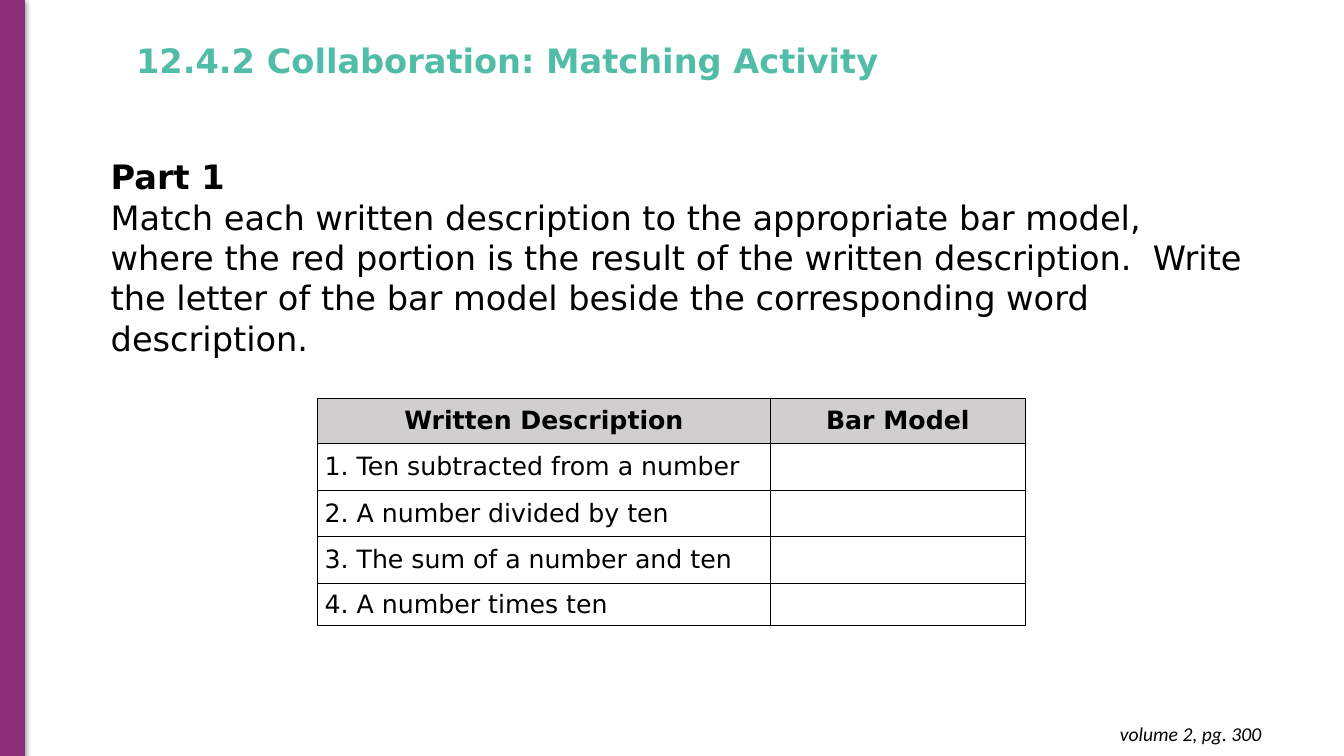
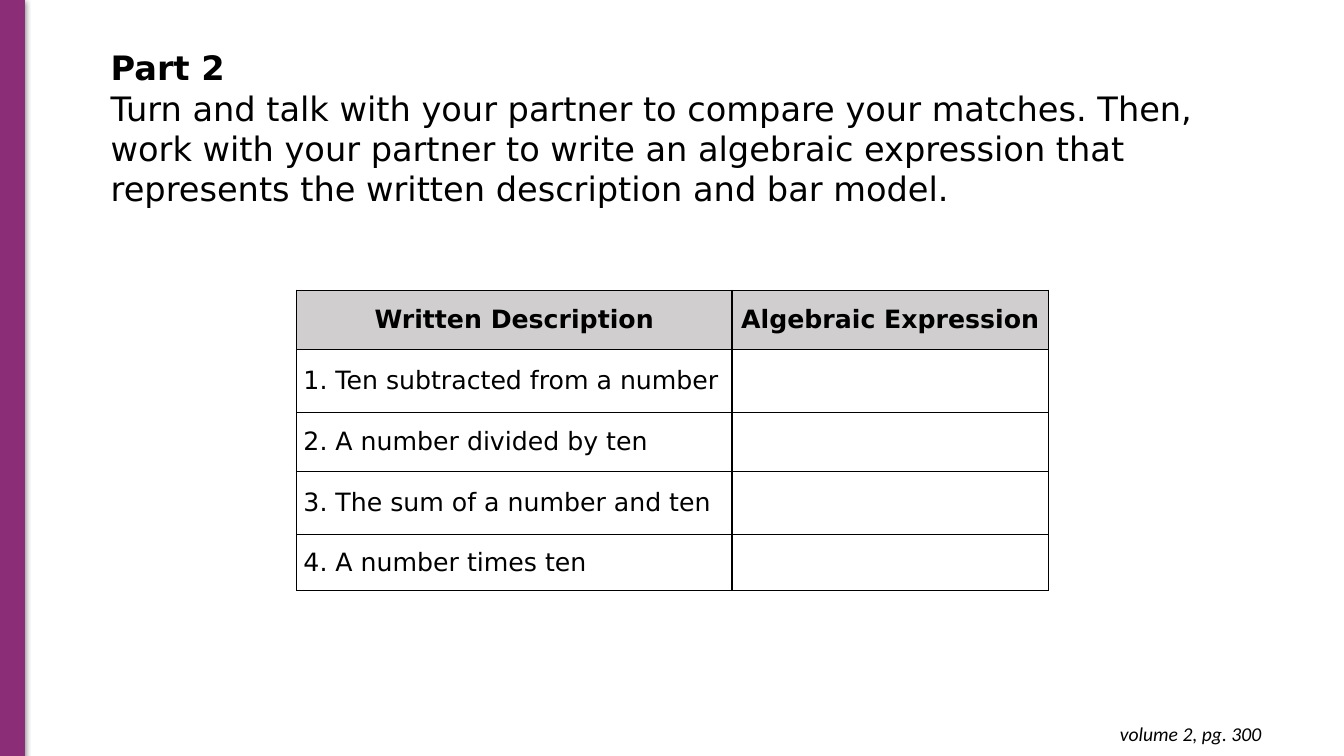
from pptx import Presentation
from pptx.dml.color import RGBColor
from pptx.enum.shapes import MSO_SHAPE as Shape
from pptx.enum.text import MSO_ANCHOR as Anchor, MSO_AUTO_SIZE as AutoSize, PP_ALIGN as Align
from pptx.oxml import parse_xml
from pptx.oxml.ns import nsdecls
from pptx.util import Inches, Pt

COLORS = {
    "band": "8B2D77",
    "title": "52BDA6",
    "text": "000000",
    "border": "000000",
    "header": "D0CECE",
}
FONT = "DejaVu Sans"
FOOTER_FONT = "Calibri"
TITLE_ONLY, BLANK = 5, 6

DESCRIPTIONS = [
    "1. Ten subtracted from a number",
    "2. A number divided by ten",
    "3. The sum of a number and ten",
    "4. A number times ten",
]


def rgb(name):
    return RGBColor.from_string(COLORS[name])


class LessonDeck:
    """Holds the lesson style and the slide being built."""

    def __init__(self):
        self.deck = Presentation()
        self.deck.slide_width = Inches(13.33)
        self.deck.slide_height = Inches(7.5)
        self.page = None

    def new_page(self, footer, title=None):
        layout = BLANK if title is None else TITLE_ONLY
        self.page = self.deck.slides.add_slide(self.deck.slide_layouts[layout])
        self.band()
        if title is not None:
            self.title(title)
        self.footer(footer)

    def span(self, para, text, size, color="text", font=FONT, bold=False, italic=False):
        span = para.add_run()
        span.text = text
        span.font.name = font
        span.font.size = Pt(size)
        span.font.bold = bold
        span.font.italic = italic
        span.font.color.rgb = rgb(color)

    def text_frame(self, left, top, width, height):
        box = self.page.shapes.add_textbox(
            Inches(left), Inches(top), Inches(width), Inches(height))
        box.text_frame.word_wrap = True
        return box.text_frame

    def band(self):
        band = self.page.shapes.add_shape(
            Shape.RECTANGLE, 0, 0, Inches(0.24), Inches(7.51))
        band.fill.solid()
        band.fill.fore_color.rgb = rgb("band")
        band.line.color.rgb = rgb("band")
        band.line.width = Pt(0.75)
        # Soft shadow along the band's edge
        band.shadow.inherit = False
        properties = band.fill._xPr
        properties.remove(properties.find("{*}effectLst"))
        properties.append(parse_xml(
            f'<a:effectLst {nsdecls("a")}>'
            f'<a:outerShdw blurRad="{Pt(4.5)}" dist="{Pt(1.5)}" dir="5400000" rotWithShape="0">'
            '<a:srgbClr val="000000"><a:alpha val="50000"/></a:srgbClr>'
            '</a:outerShdw></a:effectLst>'))

    def title(self, text):
        title = self.page.shapes.title
        title.left, title.top = Inches(1.25), Inches(0.07)
        title.width, title.height = Inches(8.77), Inches(1.11)
        frame = title.text_frame
        frame.auto_size = AutoSize.NONE
        frame.word_wrap = True
        frame.vertical_anchor = Anchor.MIDDLE
        para = frame.paragraphs[0]
        para.alignment = Align.LEFT
        para.line_spacing = 0.9
        self.span(para, text, 24, "title", bold=True)

    def footer(self, text):
        frame = self.text_frame(9.73, 7.06, 2.88, 0.44)
        frame.margin_top = frame.margin_bottom = Inches(0.1)
        para = frame.paragraphs[0]
        para.alignment = Align.RIGHT
        self.span(para, text, 14, font=FOOTER_FONT, italic=True)

    def instructions(self, top, heading, text):
        frame = self.text_frame(1, top, 11.5, 2.12)
        self.span(frame.paragraphs[0], heading, 24, bold=True)
        self.span(frame.add_paragraph(), text, 24)

    def cell(self, cell, text, header):
        cell.margin_left = cell.margin_right = Inches(0.07)
        cell.margin_top = cell.margin_bottom = 0
        cell.vertical_anchor = Anchor.MIDDLE
        # Borders come before the fill in the cell properties
        properties = cell._tc.get_or_add_tcPr()
        for side in ("lnL", "lnR", "lnT", "lnB"):
            properties.append(parse_xml(
                f'<a:{side} {nsdecls("a")} w="{Pt(1)}"><a:solidFill>'
                f'<a:srgbClr val="{COLORS["border"]}"/></a:solidFill></a:{side}>'))
        if header:
            cell.fill.solid()
            cell.fill.fore_color.rgb = rgb("header")
        else:
            cell.fill.background()
        para = cell.text_frame.paragraphs[0]
        para.alignment = Align.CENTER if header else Align.LEFT
        if text:
            self.span(para, text, 18, bold=header)

    def matching_table(self, left, top, widths, heights, answer_heading):
        rows = [("Written Description", answer_heading)]
        rows += [(description, "") for description in DESCRIPTIONS]
        table = self.page.shapes.add_table(
            len(rows), len(widths), Inches(left), Inches(top),
            Inches(sum(widths)), Inches(sum(heights))).table
        table.horz_banding = False
        for column, width in zip(table.columns, widths):
            column.width = Inches(width)
        for index, (row, height, texts) in enumerate(zip(table.rows, heights, rows)):
            row.height = Inches(height)
            for cell, text in zip(row.cells, texts):
                self.cell(cell, text, header=index == 0)


def main():
    lesson = LessonDeck()
    footer = "volume 2, pg. 300"

    # Part 1: match descriptions to bar models
    lesson.new_page(footer, "12.4.2 Collaboration: Matching Activity")
    lesson.instructions(
        1.5, "Part 1",
        "Match each written description to the appropriate bar model, where the red "
        "portion is the result of the written description.  Write the letter of the "
        "bar model beside the corresponding word description.")
    lesson.matching_table(
        3.15, 3.95, (4.49, 2.53), (0.45, 0.47, 0.45, 0.47, 0.42), "Bar Model")

    # Part 2: write algebraic expressions
    lesson.new_page(footer)
    lesson.instructions(
        0.42, "Part 2",
        "Turn and talk with your partner to compare your matches. Then, work with "
        "your partner to write an algebraic expression that represents the written "
        "description and bar model.")
    lesson.matching_table(
        2.94, 2.88, (4.32, 3.14), (0.59, 0.62, 0.59, 0.62, 0.56),
        "Algebraic Expression")

    lesson.deck.save("out.pptx")


if __name__ == "__main__":
    main()
